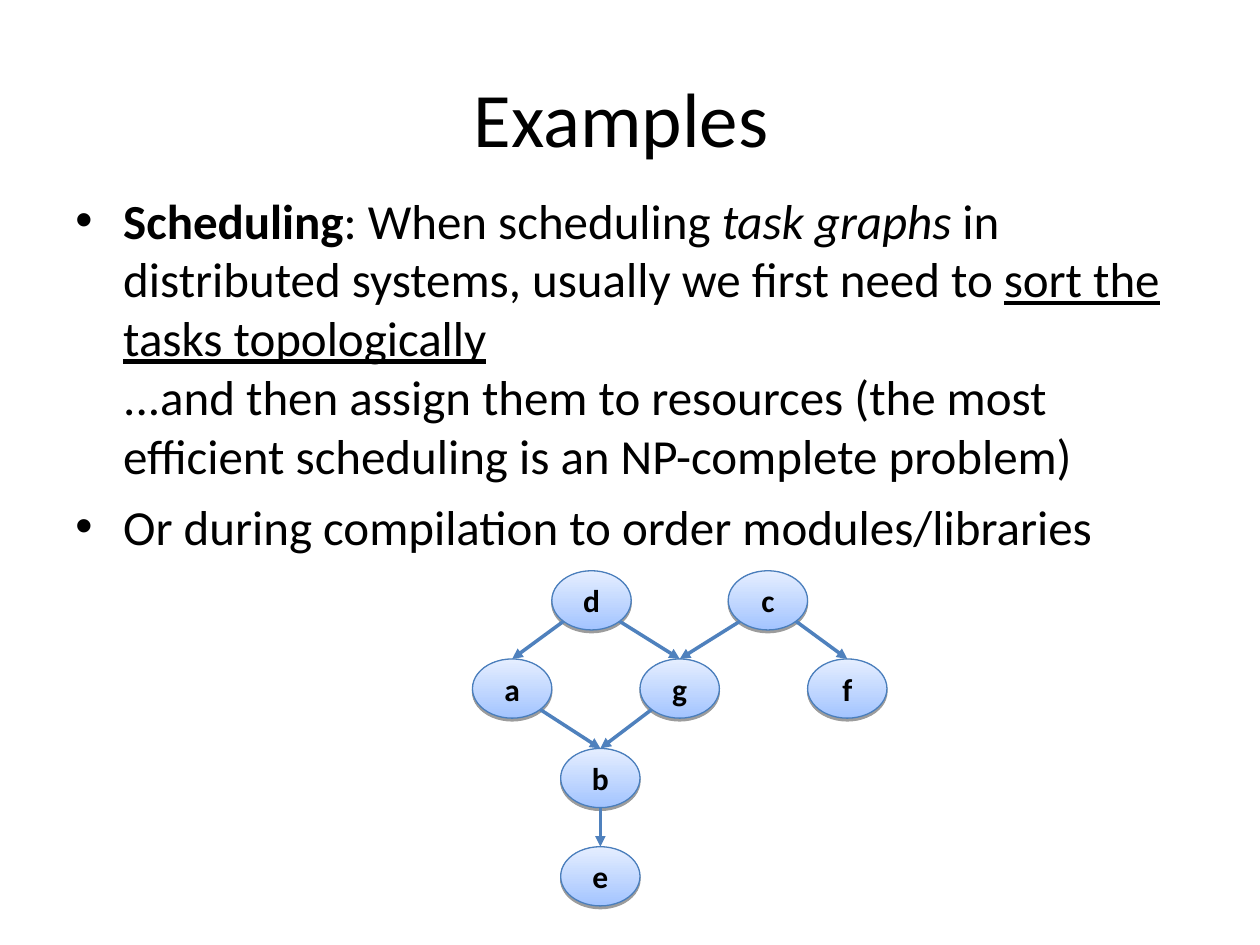
from dataclasses import dataclass
from math import sqrt

import lxml.etree
import pptx
import pptx.dml.color
import pptx.enum.shapes
import pptx.enum.text
import pptx.oxml.ns
import pptx.util

Inches = pptx.util.Inches
Pt = pptx.util.Pt
RGB = pptx.dml.color.RGBColor.from_string
qn = pptx.oxml.ns.qn


@dataclass(frozen=True)
class Theme:
    """Colours, font and type sizes of the slide."""

    font: str = "Calibri"
    ink: str = "000000"
    node_bottom: str = "A3C4FF"
    node_top: str = "E5EEFF"
    outline: str = "4A7EBB"
    arrow: str = "4F81BD"
    title_size: int = 44
    body_size: int = 28
    node_size: int = 18


THEME = Theme()

BULLETS = [
    [
        ("Scheduling", "bold"),
        (": When scheduling ", None),
        ("task graphs", "italic"),
        (" in distributed systems, usually we first need to ", None),
        ("sort the tasks topologically", "underline"),
        (" ", None),
        ("\n", None),
        ("...and then assign them to resources (the most efficient "
         "scheduling is an NP-complete problem)", None),
    ],
    [("Or during compilation to order modules/libraries", None)],
]

NODE_WIDTH, NODE_HEIGHT = Inches(0.63), Inches(0.47)
TASKS = {
    "a": (0, 0.7),
    "d": (0.63, 0),
    "c": (2.03, 0),
    "g": (1.33, 0.7),
    "f": (2.66, 0.7),
    "b": (0.7, 1.41),
    "e": (0.7, 2.19),
}
DEPENDENCIES = ["da", "dg", "cg", "cf", "ab", "gb", "be"]


def style_font(paragraph, size, bold=None):
    """Give a paragraph the theme font and ink."""
    paragraph.font.name = THEME.font
    paragraph.font.size = Pt(size)
    paragraph.font.bold = bold
    paragraph.font.color.rgb = RGB(THEME.ink)


def add_title(slide, left, top, width, height):
    """Place the centred heading in its box."""
    frame = slide.shapes.add_textbox(left, top, width, height).text_frame
    frame.word_wrap = True
    frame.vertical_anchor = pptx.enum.text.MSO_ANCHOR.MIDDLE
    heading = frame.paragraphs[0]
    heading.text = "Examples "
    heading.alignment = pptx.enum.text.PP_ALIGN.CENTER
    style_font(heading, THEME.title_size)


def add_bullets(slide, left, top, width, height):
    """Place the bulleted examples in their box."""
    frame = slide.shapes.add_textbox(left, top, width, height).text_frame
    frame.word_wrap = True
    indent = Inches(0.38)
    for index, pieces in enumerate(BULLETS):
        example = frame.add_paragraph() if index else frame.paragraphs[0]
        style_font(example, THEME.body_size)
        example.space_before = Pt(7)
        properties = example._p.get_or_add_pPr()
        properties.set("marL", str(indent))
        properties.set("indent", str(-indent))
        bullet_font = lxml.etree.Element(qn("a:buFont"), typeface="Arial")
        bullet = lxml.etree.Element(qn("a:buChar"), char="•")
        properties.find(qn("a:defRPr")).addprevious(bullet_font)
        bullet_font.addnext(bullet)
        for text, emphasis in pieces:
            if text == "\n":
                example.add_line_break()
                continue
            run = example.add_run()
            run.text = text
            if emphasis:
                setattr(run.font, emphasis, True)


def add_task(slide, label, left, top):
    """Draw one task as a shaded ellipse with its letter."""
    task = slide.shapes.add_shape(
        pptx.enum.shapes.MSO_SHAPE.OVAL, left, top, NODE_WIDTH, NODE_HEIGHT)
    task.fill.gradient()
    task.fill.gradient_angle = 90
    for stop, colour in zip(task.fill.gradient_stops,
                            (THEME.node_bottom, THEME.node_top)):
        stop.color.rgb = RGB(colour)
    task.line.color.rgb = RGB(THEME.outline)
    task.line.width = Pt(0.75)
    task.shadow.inherit = False
    shadow = lxml.etree.SubElement(
        task._element.spPr.find(qn("a:effectLst")), qn("a:outerShdw"),
        blurRad="0", dist=str(Pt(1.6)), dir="5400000", rotWithShape="0")
    tint = lxml.etree.SubElement(shadow, qn("a:srgbClr"), val=THEME.ink)
    lxml.etree.SubElement(tint, qn("a:alpha"), val="38000")
    task.text_frame.vertical_anchor = pptx.enum.text.MSO_ANCHOR.MIDDLE
    letter = task.text_frame.paragraphs[0]
    letter.text = label
    letter.alignment = pptx.enum.text.PP_ALIGN.CENTER
    style_font(letter, THEME.node_size, bold=True)
    return task


def add_dependency(slide, before, after):
    """Draw an arrow from the lower edge of one task to the top of the next."""
    start_x = before.left + NODE_WIDTH // 2
    end_x = after.left + NODE_WIDTH // 2
    start_y = before.top + NODE_HEIGHT
    if start_x != end_x:
        side = 1 if end_x > start_x else -1
        start_x += int(side * NODE_WIDTH / 2 / sqrt(2))
        start_y = before.top + int(NODE_HEIGHT / 2 * (1 + 1 / sqrt(2)))
    arrow = slide.shapes.add_connector(
        pptx.enum.shapes.MSO_CONNECTOR.STRAIGHT,
        start_x, start_y, end_x, after.top)
    arrow.line.color.rgb = RGB(THEME.arrow)
    arrow.line.width = Pt(2)
    lxml.etree.SubElement(
        arrow.line._get_or_add_ln(), qn("a:tailEnd"), type="triangle")
    lxml.etree.SubElement(arrow._element.spPr, qn("a:effectLst"))


def add_task_graph(slide, left, top):
    """Draw the tasks and their dependencies from a top-left corner."""
    tasks = {
        label: add_task(slide, label, left + Inches(x), top + Inches(y))
        for label, (x, y) in TASKS.items()
    }
    for before, after in DEPENDENCIES:
        add_dependency(slide, tasks[before], tasks[after])


def main():
    """Build the slide and save it."""
    deck = pptx.Presentation()
    deck.slide_width, deck.slide_height = Inches(10), Inches(7.5)
    slide = deck.slides.add_slide(deck.slide_layouts[6])
    add_title(slide, Inches(0.5), Inches(0.3), Inches(9), Inches(1.25))
    add_bullets(slide, Inches(0.5), Inches(1.46), Inches(9), Inches(4.95))
    add_task_graph(slide, Inches(3.75), Inches(4.53))
    deck.save("out.pptx")


if __name__ == "__main__":
    main()
